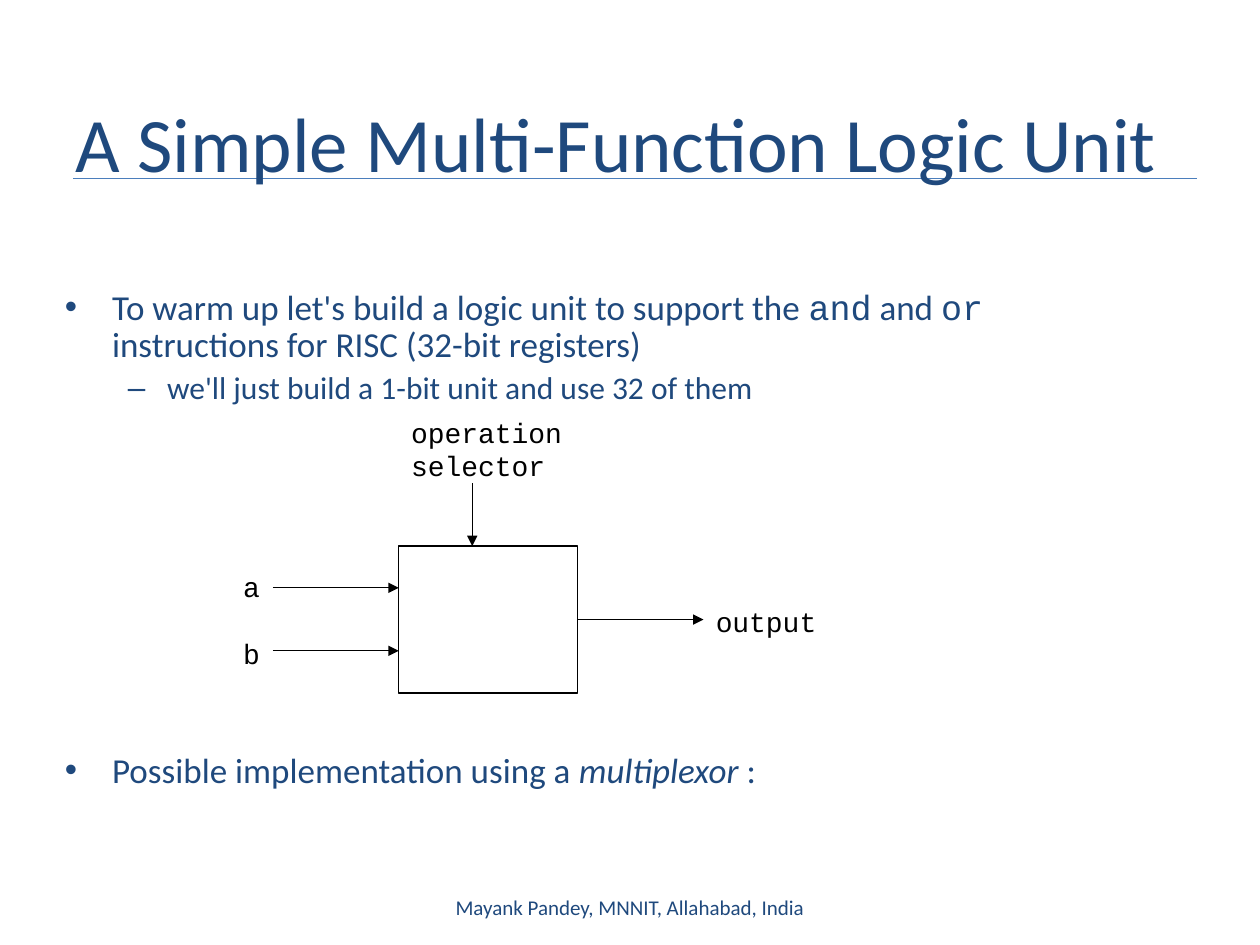
from dataclasses import dataclass

from lxml.etree import SubElement
from pptx import Presentation
from pptx.dml.color import RGBColor
from pptx.enum.shapes import MSO_CONNECTOR as Connector, MSO_SHAPE as Shape
from pptx.enum.text import MSO_ANCHOR as Anchor, PP_ALIGN as Align
from pptx.oxml.ns import qn
from pptx.util import Cm, Pt


@dataclass(frozen=True)
class Theme:
    text: str = "1F497D"
    rule: str = "4B7EBC"
    ink: str = "000000"
    paper: str = "FFFFFF"
    sans: str = "Calibri"
    mono: str = "Courier New"
    title: int = 44
    body: int = 20
    detail: int = 18
    label: int = 16
    footer: int = 12
    line: float = 0.75


THEME = Theme()

# Content: a paragraph is a list of (text, style) runs
TITLE = "A Simple Multi-Function Logic Unit"
FOOTER = "Mayank Pandey, MNNIT, Allahabad, India"
# (level, space before in points, runs); the last gap leaves room for the diagram
BULLETS = [
    (0, 0, [("To warm up let's build a logic unit to support the ", ""),
            ("and", "mono"), (" and ", ""), ("or", "mono"),
            (" instructions for RISC (32-bit registers)", "")]),
    (1, 4, [("we'll just build a 1-bit unit and use 32 of them", "")]),
    (0, 198, [("Possible implementation using a ", ""),
              ("multiplexor ", "italic"), (":", "")]),
]
# Per level: bullet, text indent and hanging indent in cm, type size
LEVELS = [("•", 0.95, 0.95, THEME.body), ("–", 2.06, 0.79, THEME.detail)]

# Diagram, in cm
UNIT_LEFT, UNIT_TOP, UNIT_WIDTH, UNIT_HEIGHT = 8.04, 11.01, 3.6, 2.96
UNIT_RIGHT = UNIT_LEFT + UNIT_WIDTH
UNIT_MIDDLE = UNIT_TOP + UNIT_HEIGHT / 2
WIRE = 2.54
SELECTOR_X = 9.52
INPUT_YS = (11.85, 13.12)
LABELS = [  # lines, left, top, width, height
    (["a"], 4.65, 11.35, 0.86, 0.94),
    (["b"], 4.65, 12.7, 0.86, 0.94),
    (["output"], UNIT_RIGHT + WIRE, 12.06, 2.54, 0.94),
    (["operation", "selector"], UNIT_LEFT, 8.25, 3.56, 1.63),
]


def color(value):
    return RGBColor.from_string(value)


def write(para, text, size=THEME.body, font=THEME.sans, ink=THEME.text, italic=False):
    span = para.add_run()
    span.text = text
    span.font.size = Pt(size)
    span.font.name = font
    span.font.color.rgb = color(ink)
    span.font.italic = italic


def add_box(page, left, top, width, height, wrap=True, anchor=Anchor.TOP):
    box = page.shapes.add_textbox(Cm(left), Cm(top), Cm(width), Cm(height))
    frame = box.text_frame
    frame.word_wrap = wrap
    frame.vertical_anchor = anchor
    return frame


def paragraphs(frame, items):
    """Pair each item with a paragraph, starting with the one already there."""
    for index, item in enumerate(items):
        yield (frame.add_paragraph() if index else frame.paragraphs[0]), item


def set_bullet(para, char, indent, hanging):
    props = para._p.get_or_add_pPr()
    props.set("marL", str(Cm(indent)))
    props.set("indent", str(-Cm(hanging)))
    SubElement(props, qn("a:buFont"), typeface="Arial")
    SubElement(props, qn("a:buChar"), char=char)


def add_line(page, start, end, ink=THEME.ink, arrow=True):
    ends = [Cm(value) for value in (*start, *end)]
    line = page.shapes.add_connector(Connector.STRAIGHT, *ends)
    line.line.color.rgb = color(ink)
    line.line.width = Pt(THEME.line)
    if arrow:
        SubElement(line.line._get_or_add_ln(), qn("a:tailEnd"), type="triangle")
    SubElement(line._element.spPr, qn("a:effectLst"))


def add_bullets(page):
    frame = add_box(page, 1.06, 5.72, 21.59, 11.43)
    for para, (level, gap, runs) in paragraphs(frame, BULLETS):
        char, indent, hanging, size = LEVELS[level]
        para.level = level
        para.line_spacing = 0.9
        para.space_before = Pt(gap)
        set_bullet(para, char, indent, hanging)
        for text, style in runs:
            font = THEME.mono if style == "mono" else THEME.sans
            write(para, text, size=size, font=font, italic=style == "italic")


def add_diagram(page):
    unit = page.shapes.add_shape(Shape.RECTANGLE, Cm(UNIT_LEFT), Cm(UNIT_TOP),
                                 Cm(UNIT_WIDTH), Cm(UNIT_HEIGHT))
    unit.shadow.inherit = False
    unit.fill.background()
    unit.line.color.rgb = color(THEME.ink)
    unit.line.width = Pt(THEME.line)

    # Wires: inputs, output, selector
    for y in INPUT_YS:
        add_line(page, (UNIT_LEFT - WIRE, y), (UNIT_LEFT, y))
    add_line(page, (UNIT_RIGHT, UNIT_MIDDLE), (UNIT_RIGHT + WIRE, UNIT_MIDDLE))
    add_line(page, (SELECTOR_X, UNIT_TOP - WIRE / 2), (SELECTOR_X, UNIT_TOP))

    for lines, *place in LABELS:
        frame = add_box(page, *place, wrap=False)
        for para, text in paragraphs(frame, lines):
            write(para, text, size=THEME.label, font=THEME.mono, ink=THEME.ink)


def main():
    deck = Presentation()
    deck.slide_width, deck.slide_height = Cm(25.4), Cm(19.05)
    page = deck.slides.add_slide(deck.slide_layouts[6])
    page.background.fill.solid()
    page.background.fill.fore_color.rgb = color(THEME.paper)

    # Title and its rule
    add_line(page, (1.48, 3.6), (24.13, 3.6), ink=THEME.rule, arrow=False)
    title = add_box(page, 1.27, 1.27, 22.86, 3.18, anchor=Anchor.MIDDLE)
    write(title.paragraphs[0], TITLE, size=THEME.title)

    add_bullets(page)
    add_diagram(page)

    # Footer
    footer = add_box(page, 8.68, 17.78, 8.04, 1.02, anchor=Anchor.MIDDLE)
    footer.paragraphs[0].alignment = Align.CENTER
    write(footer.paragraphs[0], FOOTER, size=THEME.footer)

    deck.save("out.pptx")


if __name__ == "__main__":
    main()
